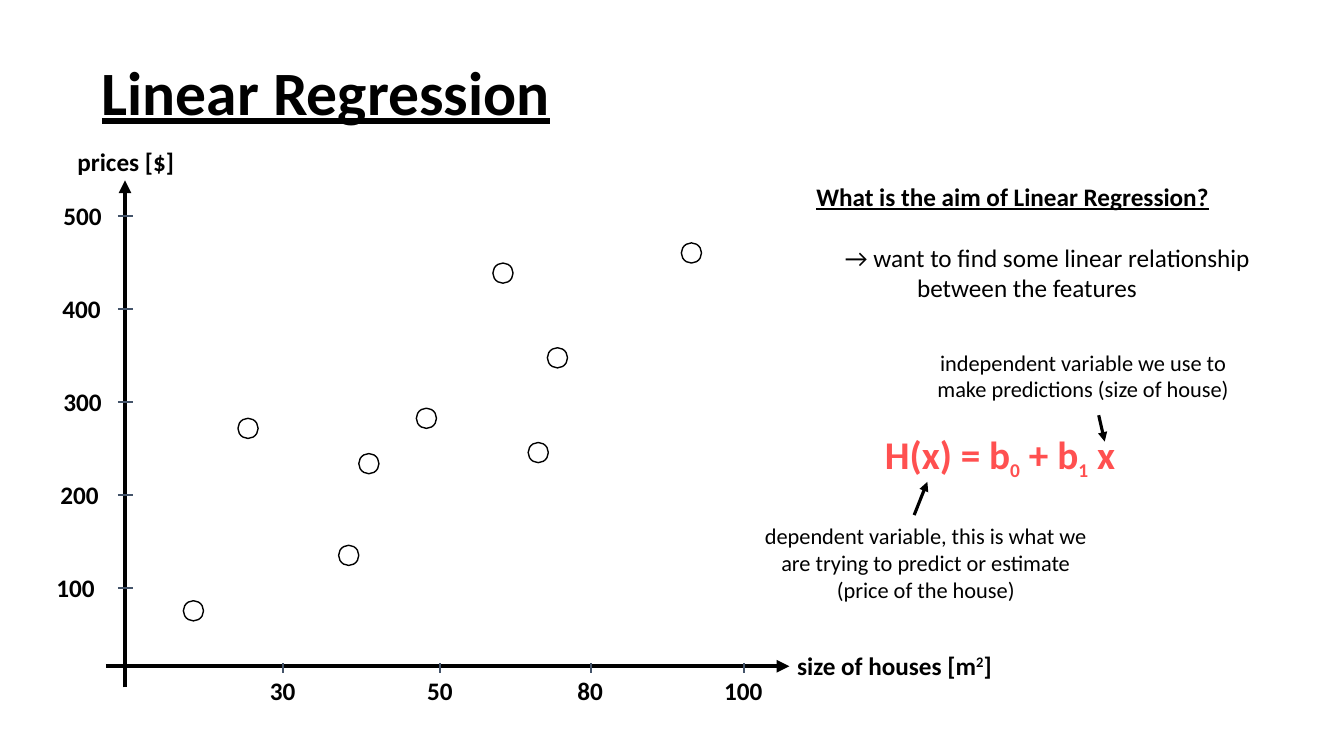
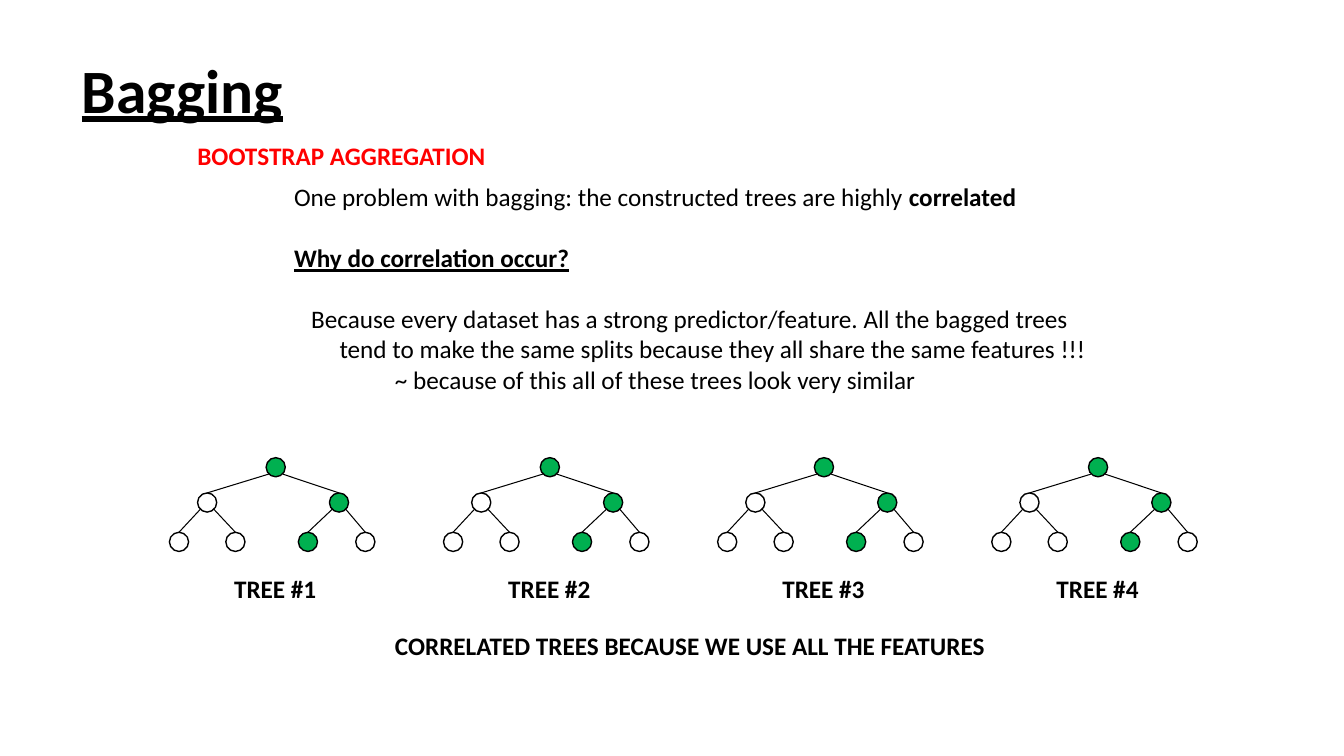
from dataclasses import dataclass

from lxml.etree import SubElement
from pptx import Presentation
from pptx.dml.color import RGBColor
from pptx.enum.shapes import MSO_CONNECTOR, MSO_SHAPE
from pptx.enum.text import MSO_ANCHOR, MSO_AUTO_SIZE, PP_ALIGN
from pptx.oxml.ns import qn
from pptx.shapes.autoshape import Shape
from pptx.shapes.connector import Connector
from pptx.slide import Slide
from pptx.util import Pt

FONT = "Calibri"
HUES = {
    "ink": "000000",
    "paper": "FFFFFF",
    "tick": "44546A",
    "coral": "FF5050",
    "red": "FF0000",
    "green": "00B050",
}


@dataclass(frozen=True)
class Run:
    text: str
    size: float = 18
    bold: bool = False
    under: bool = False
    hue: str = "ink"
    shift: int = 0  # baseline shift in percent


@dataclass(frozen=True)
class Para:
    runs: tuple[Run, ...]
    indent: float = 0
    before: float = 0
    align: PP_ALIGN = PP_ALIGN.LEFT


@dataclass(frozen=True)
class Box:
    left: float
    top: float
    width: float
    height: float


@dataclass(frozen=True)
class Tick:
    text: str
    at: float  # place along the axis
    width: float
    left: float = 0


@dataclass(frozen=True)
class Node:
    x: float  # offset from the root
    y: float
    hue: str
    root: int = -1  # index of the parent node


DOT = 14.4
DOTS = (
    (170, 298.8), (297.4, 291.6), (131, 429.1), (241.9, 389.5), (256.3, 324),
    (377.3, 316.1), (352.1, 187.9), (391, 248.4), (486.7, 173.5),
)
AXIS_X, AXIS_Y = 89.3, 475.9
SIZES = (
    Tick("30", 202.3, 33.1), Tick("50", 314.6, 33.1),
    Tick("80", 421.9, 33.1), Tick("100", 531.4, 42.5),
)
LEFTS = (33.1, 36, 38.2, 37.4, 38.2)
COSTS = tuple(
    Tick(str(100 * (i + 1)), 419.8 - 66.4 * i, 42.5, left)
    for i, left in enumerate(LEFTS)
)

NODE = 13.7
NODES = (
    Node(0, 0, "green"),
    Node(-49, 25.2, "paper", 0),
    Node(45.2, 25.2, "green", 0),
    Node(-69.1, 53.3, "paper", 1),
    Node(-28.8, 53.3, "paper", 1),
    Node(23, 53.3, "green", 2),
    Node(64, 53.3, "paper", 2),
)
TREES, TREE_X, TREE_Y, TREE_GAP = 4, 190.1, 326.9, 195.8


def tint(hue: str) -> RGBColor:
    return RGBColor.from_string(HUES[hue])


def add_run(para, run: Run) -> None:
    part = para.add_run()
    part.text = run.text
    font = part.font
    font.name, font.size = FONT, Pt(run.size)
    font.bold, font.underline = run.bold, run.under
    font.color.rgb = tint(run.hue)
    if run.shift:
        part._r.get_or_add_rPr().set("baseline", str(run.shift * 1000))


def write(slide: Slide, box: Box, *paras: Para, wrap: bool = False) -> None:
    shape = slide.shapes.add_textbox(
        Pt(box.left), Pt(box.top), Pt(box.width), Pt(box.height))
    frame = shape.text_frame
    frame.word_wrap = wrap
    frame.auto_size = MSO_AUTO_SIZE.NONE if wrap else MSO_AUTO_SIZE.SHAPE_TO_FIT_TEXT
    for i, item in enumerate(paras):
        para = frame.add_paragraph() if i else frame.paragraphs[0]
        para.alignment = item.align
        para.space_before = Pt(item.before)
        if item.indent:
            para._p.get_or_add_pPr().set("marL", str(Pt(item.indent)))
        for run in item.runs:
            add_run(para, run)


def label(slide: Slide, text: str, left: float, top: float, width: float,
          hue: str = "ink") -> None:
    """Write one bold line."""
    write(slide, Box(left, top, width, 29.1),
          Para((Run(text, bold=True, hue=hue),)))


def caption(slide: Slide, box: Box, *lines: str) -> None:
    write(slide, box, *(
        Para((Run(line, 16),), align=PP_ALIGN.CENTER) for line in lines))


def circle(slide: Slide, x: float, y: float, size: float,
           hue: str = "paper") -> Shape:
    shape = slide.shapes.add_shape(
        MSO_SHAPE.OVAL, Pt(x), Pt(y), Pt(size), Pt(size))
    shape.shadow.inherit = False
    shape.fill.solid()
    shape.fill.fore_color.rgb = tint(hue)
    shape.line.color.rgb = tint("ink")
    shape.line.width = Pt(1)
    return shape


def link(slide: Slide, x1: float, y1: float, x2: float, y2: float,
         width: float, hue: str = "ink", head: bool = False) -> Connector:
    line = slide.shapes.add_connector(
        MSO_CONNECTOR.STRAIGHT, Pt(x1), Pt(y1), Pt(x2), Pt(y2))
    line.line.color.rgb = tint(hue)
    line.line.width = Pt(width)
    if head:
        SubElement(line.get_or_add_ln(), qn("a:tailEnd"), type="triangle")
    SubElement(line._element.spPr, qn("a:effectLst"))
    return line


def add_slide(deck, text: str, left: float, top: float) -> Slide:
    slide = deck.slides.add_slide(deck.slide_layouts[5])
    title = slide.shapes.title
    title.left, title.top = Pt(left), Pt(top)
    title.width, title.height = Pt(828), Pt(104.4)
    title.text_frame.vertical_anchor = MSO_ANCHOR.MIDDLE
    para = title.text_frame.paragraphs[0]
    para.alignment, para.line_spacing = PP_ALIGN.LEFT, 0.9
    add_run(para, Run(text, 44, bold=True, under=True))
    return slide


def plot(slide: Slide) -> None:
    link(slide, AXIS_X, 491, AXIS_X, 128.9, 3, head=True)
    link(slide, 75.6, AXIS_Y, 563.8, AXIS_Y, 3, head=True)
    for x, y in DOTS:
        circle(slide, x, y, DOT)
    for tick in SIZES:
        link(slide, tick.at, 473.8, tick.at, 481, 1.5, "tick")
        label(slide, tick.text, tick.at - tick.width / 2, 478.5, tick.width)
    for tick in COSTS:
        link(slide, 84.2, tick.at, 95, tick.at, 1.5, "tick")
        label(slide, tick.text, tick.left, tick.at - 14.4, tick.width)
    label(slide, "prices [$]", 48.2, 100.8, 95)
    write(slide, Box(562.3, 460.8, 176.6, 29.1), Para((
        Run("size of houses [m", bold=True),
        Run("2", bold=True, shift=30),
        Run("]", bold=True))))


def formula(slide: Slide) -> None:
    parts = (("H(x) = b", 0), ("0", -25), (" + b", 0), ("1", -25), (" x", 0))
    write(slide, Box(625, 303.8, 179.3, 41.2), Para(tuple(
        Run(text, 24 if shift else 28, bold=True, hue="coral", shift=shift)
        for text, shift in parts)))
    link(slide, 653, 367.9, 662.4, 344.2, 2.25, head=True)
    link(slide, 784.8, 296.6, 789.1, 315.4, 2.25, head=True)
    caption(slide, Box(537.8, 369.4, 247, 65.4),
            "dependent variable, this is what we",
            "are trying to predict or estimate",
            "(price of the house)")
    caption(slide, Box(658.8, 245.5, 229.7, 46),
            "independent variable we use to",
            "make predictions (size of house)")


def tree(slide: Slide, x: float, text: str) -> None:
    shapes = [circle(slide, x + node.x, TREE_Y + node.y, NODE, node.hue)
              for node in NODES]
    mid, reach = NODE / 2, NODE / 2 * 0.71
    for node, shape in zip(NODES, shapes):
        if node.root < 0:
            continue
        top = NODES[node.root]
        side = reach if node.x > top.x else -reach
        line = link(slide, x + top.x + mid + side, TREE_Y + top.y + mid + reach,
                    x + node.x + mid, TREE_Y + node.y, 0.75)
        line.end_connect(shape, 0)
    label(slide, text, x - 30, 406.1, 73.4)


def add_linear(deck) -> None:
    slide = add_slide(deck, "Linear Regression", 65.5, 15.8)
    plot(slide)
    write(slide, Box(576, 126, 329.8, 138.2),
          Para((Run("What is the aim of Linear Regression?",
                    bold=True, under=True),)),
          Para((Run("→ want to find some linear relationship"),), 20.4, 22),
          Para((Run("between the features"),), 72), wrap=True)
    formula(slide)


def add_bagging(deck) -> None:
    slide = add_slide(deck, "Bagging", 51.1, 14.4)
    label(slide, "BOOTSTRAP AGGREGATION", 133.9, 96.5, 222.5, "red")
    write(slide, Box(203, 126, 587.5, 159.8),
          Para((Run("One problem with bagging: the constructed trees are highly "),
                Run("correlated", bold=True))),
          Para((Run("Why do correlation occur?", bold=True, under=True),),
               before=22),
          Para((Run("Because every dataset has a strong predictor/feature. "
                    "All the bagged trees"),), 12.2, 22),
          Para((Run("tend to make the same splits because they all share "
                    "the same features !!!"),), 32.5),
          Para((Run("~ because of this all of these trees look very similar"),),
               72), wrap=True)
    for i in range(TREES):
        tree(slide, TREE_X + TREE_GAP * i, f"TREE #{i + 1}")
    label(slide, "CORRELATED TREES BECAUSE WE USE ALL THE FEATURES",
          275, 446.4, 439.9)


def main() -> None:
    deck = Presentation()
    deck.slide_width, deck.slide_height = Pt(960), Pt(540)
    add_linear(deck)
    add_bagging(deck)
    deck.save("out.pptx")


if __name__ == "__main__":
    main()
